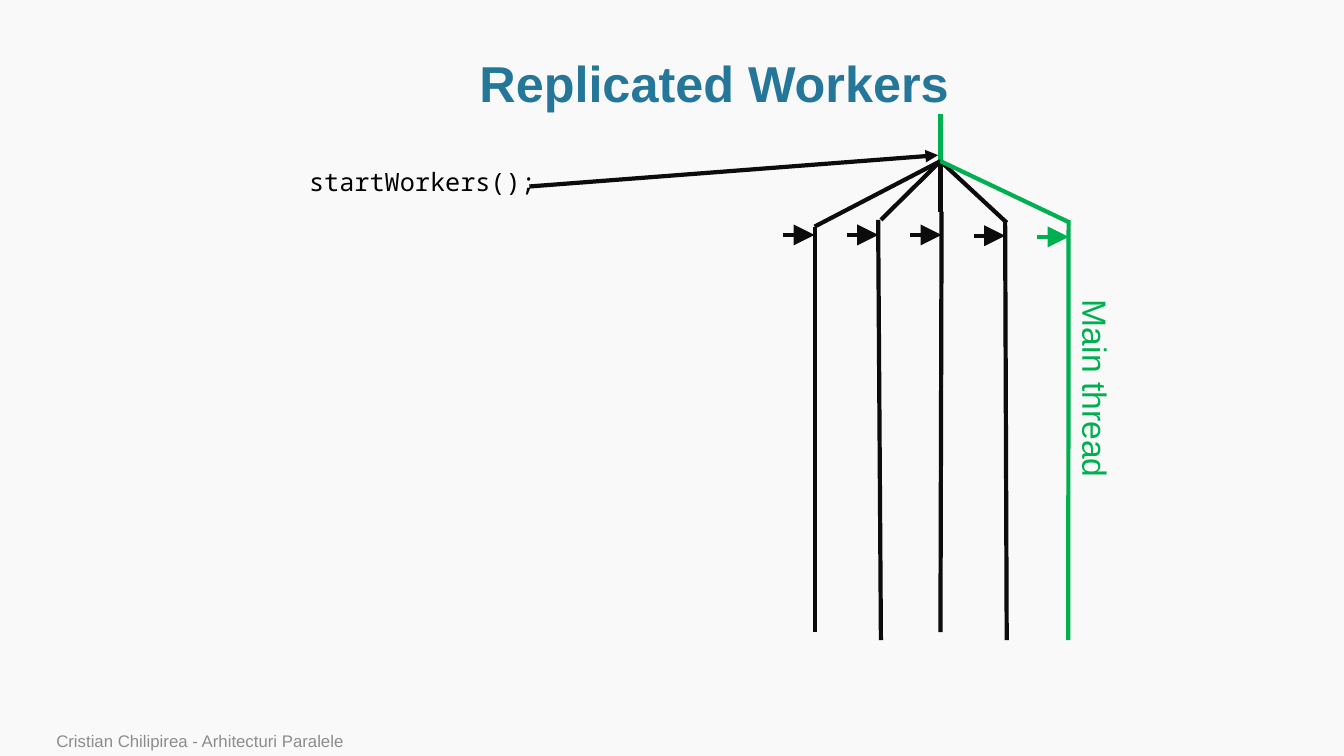
from dataclasses import dataclass
from lxml.etree import SubElement
from pptx import Presentation
from pptx.dml.color import RGBColor
from pptx.enum.shapes import MSO_CONNECTOR
from pptx.enum.text import MSO_ANCHOR, PP_ALIGN
from pptx.oxml.ns import qn
from pptx.util import Cm, Pt


@dataclass(frozen=True)
class Theme:
    background: str = "F9F9F9"
    title: str = "247798"
    code: str = "000000"
    worker: str = "0C0C0C"
    main: str = "00B050"
    footer: str = "8C8C8C"
    sans: str = "Arial"
    mono: str = "Noto Sans Mono"
    title_size: int = 36
    label_size: int = 24
    code_size: int = 18
    footer_size: int = 12
    line_width: int = 3


@dataclass(frozen=True)
class Box:
    left: float
    top: float
    width: float
    height: float


THEME = Theme()
TITLE_BOX = Box(2.9, 1.3, 30.2, 1.75)
THREADS_BOX = Box(19.74, 2.87, 7.18, 13.26)
CALL_BOX = Box(7.54, 4.06, 17.37, 3.18)
LABEL_BOX = Box(25.1, 9.19, 5.03, 1.27)
FOOTER_BOX = Box(1.17, 18.34, 24.94, 0.71)

FORK = (3.96, 1.19)
ARROW_LENGTH = 0.79
THREAD_GAP = 1.6
# columns: foot x, fan end y, top y, bottom y, arrow y
THREADS = [
    (0.79, 2.84, 2.84, 13.06, 3.05),
    (2.46, 2.67, 2.67, 13.26, 3.05),
    (3.96, 2.46, 2.46, 13.06, 3.05),
    (5.63, 2.74, 2.67, 13.26, 3.07),
    (7.18, 2.72, 2.67, 13.26, 3.1),
]


def add_text(s, box, text, *, size, color, font=THEME.sans, bold=False,
             align=PP_ALIGN.LEFT, anchor=MSO_ANCHOR.TOP, wrap=True,
             rotation=0, spacing=1.0):
    sp = s.shapes.add_textbox(Cm(box.left), Cm(box.top), Cm(box.width), Cm(box.height))
    sp.rotation = rotation
    tf = sp.text_frame
    tf.word_wrap = wrap
    tf.vertical_anchor = anchor
    p = tf.paragraphs[0]
    p.alignment = align
    p.line_spacing = spacing
    r = p.add_run()
    r.text = text
    r.font.name = font
    r.font.size = Pt(size)
    r.font.bold = bold
    r.font.color.rgb = RGBColor.from_string(color)


def add_line(s, box, start, end, color, head=None):
    x1, y1, x2, y2 = (Cm(v) for v in (box.left + start[0], box.top + start[1],
                                      box.left + end[0], box.top + end[1]))
    sp = s.shapes.add_connector(MSO_CONNECTOR.STRAIGHT, x1, y1, x2, y2)
    sp.line.width = Pt(THEME.line_width)
    sp.line.color.rgb = RGBColor.from_string(color)
    if head:
        SubElement(sp.line._get_or_add_ln(), qn("a:tailEnd"),
                   type="triangle", w=head, len=head)
    SubElement(sp._element.spPr, qn("a:effectLst"))


def add_title(s, box):
    add_text(s, box, "Replicated Workers", size=THEME.title_size, color=THEME.title,
             bold=True, align=PP_ALIGN.CENTER, anchor=MSO_ANCHOR.MIDDLE, spacing=0.9)


def add_threads(s, box):
    add_line(s, box, (FORK[0], 0), FORK, THEME.main)
    for i, (foot, fan_y, top, bottom, arrow_y) in enumerate(THREADS):
        color = THEME.main if i == len(THREADS) - 1 else THEME.worker
        x = ARROW_LENGTH + i * THREAD_GAP
        add_line(s, box, FORK, (foot, fan_y), color)
        add_line(s, box, (x, top), (foot, bottom), color)
        add_line(s, box, (x - ARROW_LENGTH, arrow_y), (x, arrow_y), color, head="lg")


def add_call(s, box):
    add_text(s, box, "startWorkers();", size=THEME.code_size, color=THEME.code,
             font=THEME.mono)
    add_line(s, box, (5.8, 0.64), (16.1, -0.15), THEME.worker, head="med")


def add_main_label(s, box):
    add_text(s, box, "Main thread", size=THEME.label_size, color=THEME.main,
             wrap=False, rotation=90)


def add_footer(s, box):
    add_text(s, box, "Cristian Chilipirea - Arhitecturi Paralele",
             size=THEME.footer_size, color=THEME.footer, anchor=MSO_ANCHOR.BOTTOM)


def main():
    prs = Presentation()
    prs.slide_width, prs.slide_height = Cm(33.87), Cm(19.05)
    s = prs.slides.add_slide(prs.slide_layouts[6])
    s.background.fill.solid()
    s.background.fill.fore_color.rgb = RGBColor.from_string(THEME.background)
    add_title(s, TITLE_BOX)
    add_threads(s, THREADS_BOX)
    add_call(s, CALL_BOX)
    add_main_label(s, LABEL_BOX)
    add_footer(s, FOOTER_BOX)
    prs.save("out.pptx")


if __name__ == "__main__":
    main()
